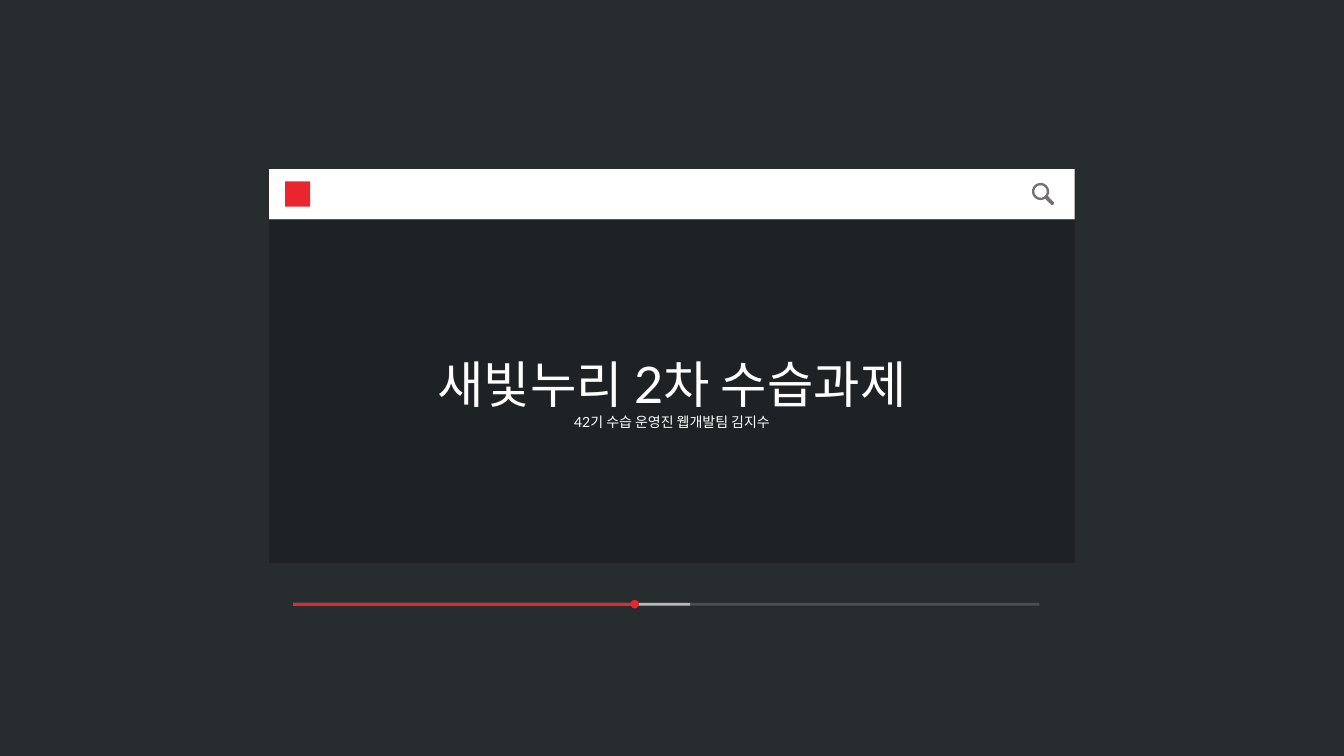
from math import cos, radians, sin
from typing import NamedTuple

from lxml.etree import SubElement
from pptx import Presentation
from pptx.dml.color import RGBColor
from pptx.enum.shapes import MSO_CONNECTOR as Connector, MSO_SHAPE as Preset
from pptx.enum.text import MSO_ANCHOR as Anchor, PP_ALIGN as Align
from pptx.oxml.ns import qn
from pptx.shapes.autoshape import Shape
from pptx.slide import Slide
from pptx.util import Pt

BACKGROUND = RGBColor(0x27, 0x2C, 0x2F)
PANEL = RGBColor(0x1E, 0x22, 0x24)
WHITE = RGBColor(0xFF, 0xFF, 0xFF)
RED = RGBColor(0xEA, 0x25, 0x2E)
GRAY = RGBColor(0x76, 0x71, 0x71)

LEFT, TOP, WIDTH = 192.2, 120.8, 575.5
BAR_HEIGHT, PANEL_HEIGHT = 36, 245.4
TRACK_LEFT, TRACK_Y = 209.4, 431.6

Point = tuple[float, float]


class Box(NamedTuple):
    """A filled rectangle."""
    left: float
    top: float
    width: float
    height: float
    fill: RGBColor


class Track(NamedTuple):
    """One layer of the progress line."""
    right: float
    color: RGBColor
    opacity: int
    knob: bool


class Line(NamedTuple):
    """One line of the title text."""
    text: str
    size: float


SEARCH_BAR = Box(LEFT, TOP, WIDTH, BAR_HEIGHT, WHITE)
EMBLEM = Box(203.6, 129.6, 18, 18, RED)
SCREEN = Box(LEFT, TOP + BAR_HEIGHT, WIDTH, PANEL_HEIGHT, PANEL)
TRACKS = [
    Track(742.4, WHITE, 16, False),
    Track(493, WHITE, 60, False),
    Track(453.4, RED, 100, True),
]
TITLE = [Line("새빛누리 2차 수습과제", 36), Line("42기 수습 운영진 웹개발팀 김지수", 10)]


def finish(shape: Shape, fill: RGBColor) -> Shape:
    """Give a shape a flat fill without outline or shadow."""
    shape.shadow.inherit = False
    shape.fill.solid()
    shape.fill.fore_color.rgb = fill
    shape.line.fill.background()
    return shape


def add_box(page: Slide, box: Box) -> Shape:
    """Draw a filled rectangle."""
    frame = [Pt(length) for length in box[:4]]
    return finish(page.shapes.add_shape(Preset.RECTANGLE, *frame), box.fill)


def arc(center: Point, radius: float, start: int, end: int) -> list[Point]:
    """Return points in EMU along a clockwise arc."""
    x, y = center
    steps = 32
    angles = [radians(start + (end - start) * i / steps) for i in range(steps + 1)]
    return [(Pt(x + radius * cos(a)), Pt(y + radius * sin(a))) for a in angles]


def add_magnifier(page: Slide) -> None:
    """Draw the search icon as one outline with a round hole."""
    lens, handle_end = (743.3, 136.8), (751.6, 145.1)
    rim = arc(lens, 6.1, 58, 392) + arc(handle_end, 1.3, -45, 135)
    hole = arc(lens, 4.4, 360, 0)
    builder = page.shapes.build_freeform(*rim[0], scale=1.0)
    builder.add_line_segments(rim[1:], close=True)
    builder.move_to(*hole[0])
    builder.add_line_segments(hole[1:], close=True)
    finish(builder.convert_to_shape(), GRAY)


def add_track(page: Slide, track: Track) -> None:
    """Draw one layer of the progress line."""
    ends = [Pt(v) for v in (TRACK_LEFT, TRACK_Y, track.right, TRACK_Y)]
    connector = page.shapes.add_connector(Connector.STRAIGHT, *ends)
    connector.line.width = Pt(2)
    connector.line.color.rgb = track.color
    properties = connector._element.spPr
    if track.opacity < 100:
        color = properties.find(".//" + qn("a:srgbClr"))
        SubElement(color, qn("a:alpha"), val=str(track.opacity * 1000))
    if track.knob:
        SubElement(properties.find(qn("a:ln")), qn("a:tailEnd"), type="oval")
    SubElement(properties, qn("a:effectLst"))


def write_lines(shape: Shape, lines: list[Line]) -> None:
    """Write centred white lines into a shape."""
    frame = shape.text_frame
    frame.word_wrap = True
    frame.vertical_anchor = Anchor.MIDDLE
    for index, line in enumerate(lines):
        para = frame.add_paragraph() if index else frame.paragraphs[0]
        para.alignment = Align.CENTER
        span = para.add_run()
        span.text = line.text
        span.font.name = "Lato"
        span.font.size = Pt(line.size)
        span.font.color.rgb = WHITE


def main() -> None:
    """Build the slide and save it."""
    deck = Presentation()
    deck.slide_width, deck.slide_height = Pt(960), Pt(540)
    page = deck.slides.add_slide(deck.slide_layouts[6])
    page.background.fill.solid()
    page.background.fill.fore_color.rgb = BACKGROUND
    add_box(page, SEARCH_BAR)
    add_box(page, EMBLEM)
    add_magnifier(page)
    for track in TRACKS:
        add_track(page, track)
    write_lines(add_box(page, SCREEN), TITLE)
    deck.save("out.pptx")


main()
